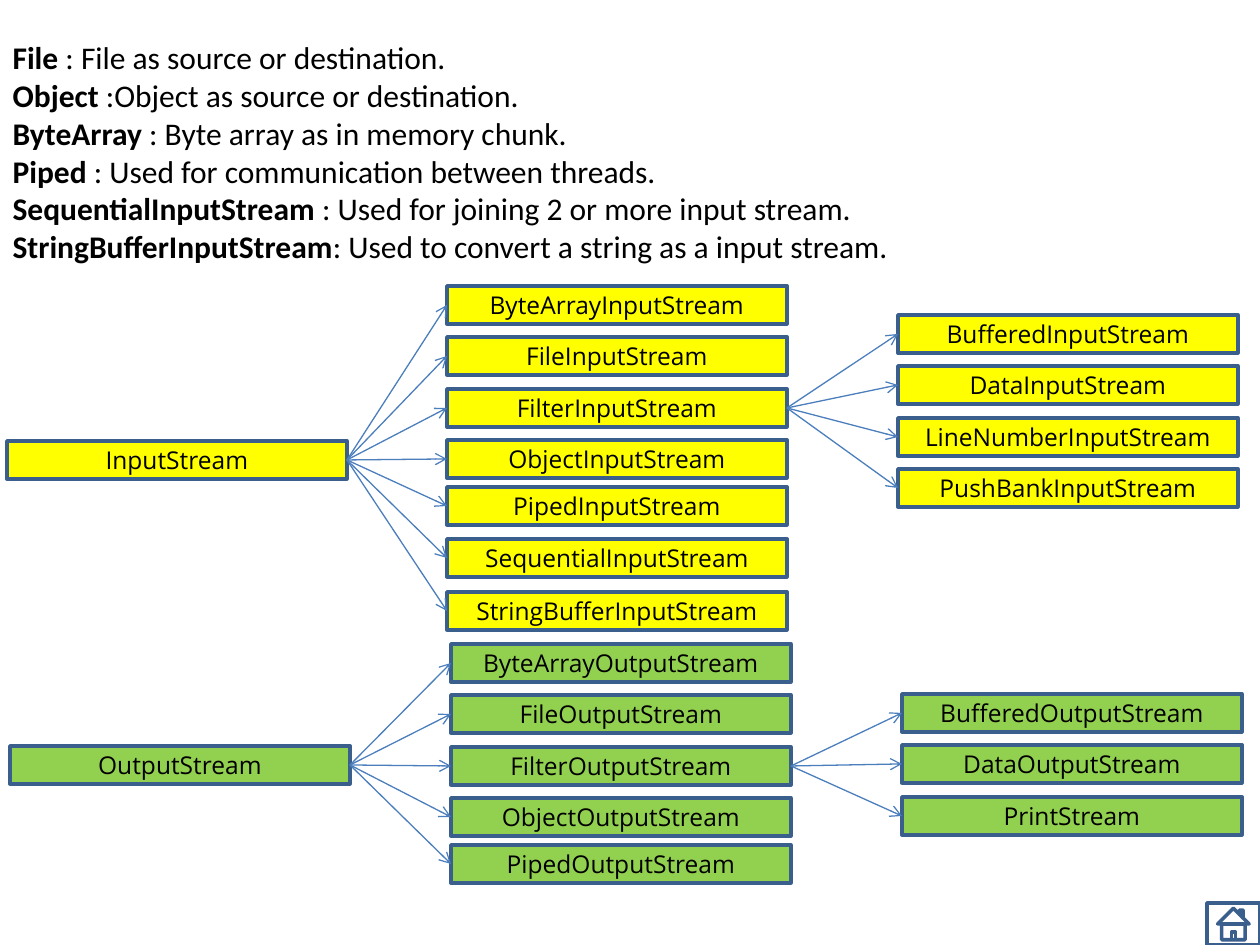
from lxml import etree
from pptx import Presentation
from pptx import util as u
from pptx.dml import color
from pptx.enum import shapes, text
from pptx.oxml import ns

SCALE = u.Inches(1) // 126
BOX_WIDTH, BOX_HEIGHT = 340, 38
ROW_OFFSETS = (0, 51, 103, 154, 201, 253, 306)
LEFT_SITE, RIGHT_SITE = 1, 3
BORDER, ARROW, BLACK = "3A5F8C", "4B7EBC", "000000"

DEFINITIONS = [
    ("File", " : File as source or destination."),
    ("Object ", ":Object as source or destination."),
    ("ByteArray ", ": Byte array as in memory chunk."),
    ("Piped ", ": Used for communication between threads."),
    ("SequentialInputStream ", ": Used for joining 2 or more input stream."),
    ("StringBufferInputStream", ": Used to convert a string as a input stream."),
]

# Each level is (left, top, names); the filter stream is the parent of the last.
INPUT_TREE = {
    "fill": "FFFF00",
    "root": (7, 441, ["InputStream"]),
    "children": (447, 286, [
        "ByteArrayInputStream", "FileInputStream", "FilterInputStream",
        "ObjectInputStream", "PipedInputStream", "SequentialInputStream",
        "StringBufferInputStream"]),
    "filters": (898, 315, [
        "BufferedInputStream", "DataInputStream", "LineNumberInputStream",
        "PushBankInputStream"]),
}
OUTPUT_TREE = {
    "fill": "92D050",
    "root": (10, 746, ["OutputStream"]),
    "children": (451, 644, [
        "ByteArrayOutputStream", "FileOutputStream", "FilterOutputStream",
        "ObjectOutputStream", "PipedOutputStream"]),
    "filters": (902, 694, [
        "BufferedOutputStream", "DataOutputStream", "PrintStream"]),
}
FILTER_ROW = 2


def px(*lengths):
    """Turn pixel lengths into EMU."""
    return [u.Emu(length * SCALE) for length in lengths]


def rgb(value):
    """Turn a hex string into a colour."""
    return color.RGBColor.from_string(value)


def apply(target, values):
    """Set every attribute named in a dict of format values."""
    for name, value in values.items():
        setattr(target, name, value)


def set_line(shape, value, points):
    """Give a shape or connector a solid line."""
    shape.line.color.rgb = rgb(value)
    shape.line.width = u.Pt(points)


def add_run(paragraph, words, **font):
    """Add a black run with the given font values."""
    run = paragraph.add_run()
    run.text = words
    apply(run.font, font)
    run.font.color.rgb = rgb(BLACK)


def add_definitions(slide):
    """Fill the body placeholder with the unbulleted definitions."""
    body = slide.placeholders[1]
    apply(body, dict(zip(("left", "top", "width", "height"),
                         px(0, 32, 1260, 242))))
    frame = body.text_frame
    apply(frame, {"word_wrap": True, "auto_size": text.MSO_AUTO_SIZE.NONE,
                  "vertical_anchor": text.MSO_ANCHOR.TOP})
    for index, (term, meaning) in enumerate(DEFINITIONS):
        paragraph = frame.add_paragraph() if index else frame.paragraphs[0]
        apply(paragraph, {"space_before": u.Pt(0), "space_after": u.Pt(0),
                          "line_spacing": 1.0,
                          "alignment": text.PP_ALIGN.LEFT})
        properties = paragraph._p.get_or_add_pPr()
        properties.set("marL", "0")
        properties.set("indent", "0")
        etree.SubElement(properties, ns.qn("a:buNone"))
        for words, bold in ((term, True), (meaning, False)):
            add_run(paragraph, words, name="Calibri", size=u.Pt(18), bold=bold)


def add_box(slide, left, top, name, fill):
    """Add a bordered rectangle with a centred class name."""
    box = slide.shapes.add_shape(shapes.MSO_SHAPE.RECTANGLE,
                                 *px(left, top, BOX_WIDTH, BOX_HEIGHT))
    box.shadow.inherit = False
    box.fill.solid()
    box.fill.fore_color.rgb = rgb(fill)
    set_line(box, BORDER, 2)
    apply(box.text_frame, {"word_wrap": True,
                           "vertical_anchor": text.MSO_ANCHOR.MIDDLE})
    paragraph = box.text_frame.paragraphs[0]
    paragraph.alignment = text.PP_ALIGN.CENTER
    add_run(paragraph, name, name="Open Sans", size=u.Pt(14))
    return box


def add_column(slide, level, fill):
    """Stack the boxes of one level by the shared row offsets."""
    left, top, names = level
    return [add_box(slide, left, top + offset, name, fill)
            for offset, name in zip(ROW_OFFSETS, names)]


def add_arrows(slide, parent, children):
    """Join a parent's right side to the left side of each child."""
    for child in children:
        arrow = slide.shapes.add_connector(
            shapes.MSO_CONNECTOR.STRAIGHT, 0, 0, 0, 0)
        arrow.begin_connect(parent, RIGHT_SITE)
        arrow.end_connect(child, LEFT_SITE)
        set_line(arrow, ARROW, 0.75)
        line = arrow.line._get_or_add_ln()
        etree.SubElement(line, ns.qn("a:tailEnd"), type="arrow")
        etree.SubElement(arrow._element.spPr, ns.qn("a:effectLst"))


def add_tree(slide, tree):
    """Add one stream hierarchy with its arrows."""
    root, children, filters = (
        add_column(slide, tree[level], tree["fill"])
        for level in ("root", "children", "filters"))
    add_arrows(slide, root[0], children)
    add_arrows(slide, children[FILTER_ROW], filters)


def add_home_button(slide):
    """Add the unfilled home button in the corner."""
    button = slide.shapes.add_shape(shapes.MSO_SHAPE.ACTION_BUTTON_HOME,
                                    *px(1207, 903, 53, 42))
    button.shadow.inherit = False
    button.fill.background()
    set_line(button, BORDER, 2)


def main():
    """Build and save the slide."""
    presentation = Presentation()
    apply(presentation, {"slide_width": u.Inches(10),
                         "slide_height": u.Inches(7.5)})
    slide = presentation.slides.add_slide(presentation.slide_layouts[1])
    title = slide.shapes.title._element
    title.getparent().remove(title)
    add_home_button(slide)
    for tree in (INPUT_TREE, OUTPUT_TREE):
        add_tree(slide, tree)
    add_definitions(slide)
    presentation.save("out.pptx")


main()
